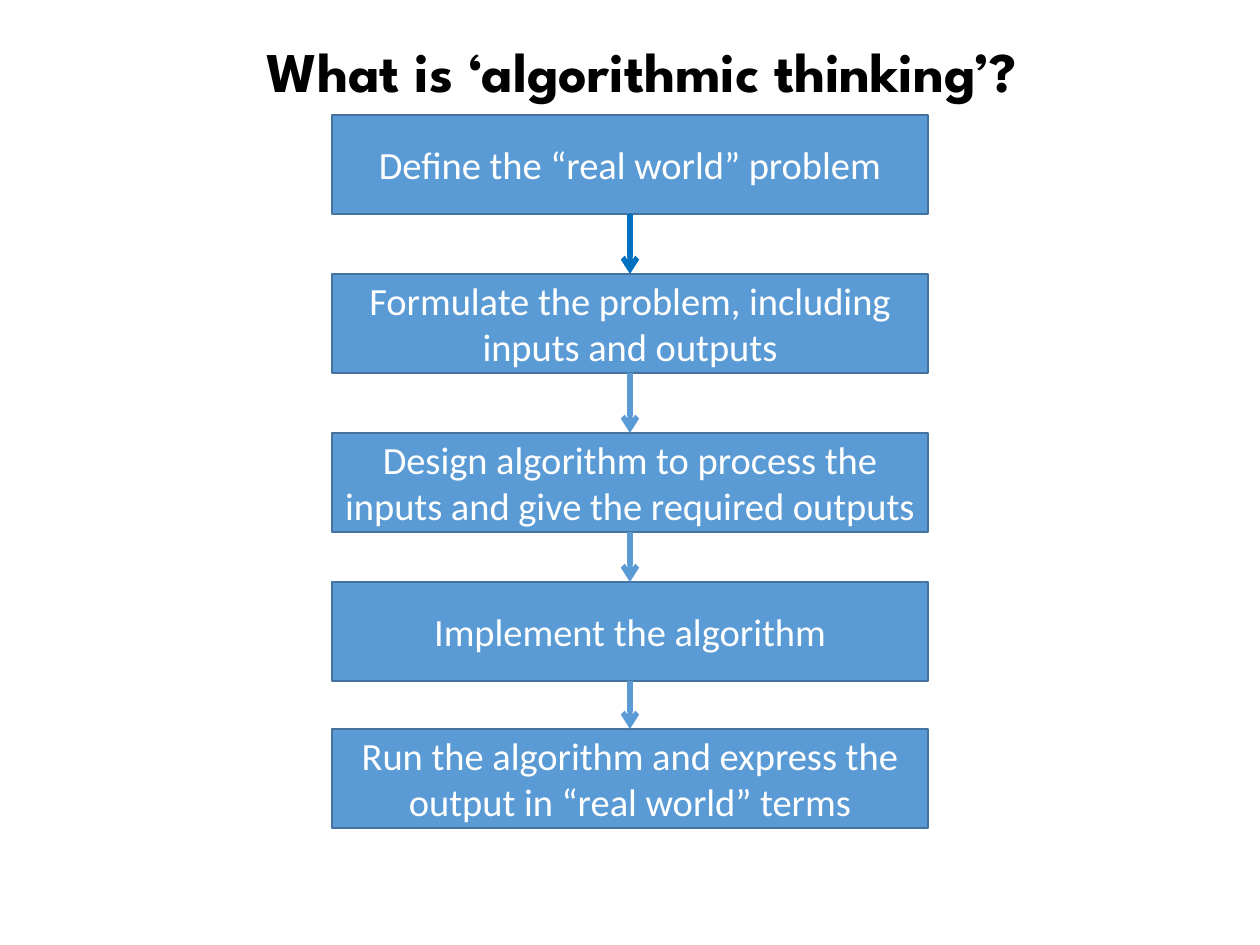
from lxml.etree import SubElement
from pptx import Presentation
from pptx.dml.color import RGBColor
from pptx.enum.shapes import MSO_CONNECTOR, MSO_SHAPE
from pptx.enum.text import MSO_ANCHOR, PP_ALIGN
from pptx.oxml.ns import qn
from pptx.util import Emu, Pt

BLACK = RGBColor(0x00, 0x00, 0x00)
WHITE = RGBColor(0xFF, 0xFF, 0xFF)
BLUE = RGBColor(0x5B, 0x9B, 0xD5)
EDGE = RGBColor(0x43, 0x73, 0x9E)
DEEP = RGBColor(0x00, 0x70, 0xC0)

LEFT, WIDTH, HEIGHT = 332, 596, 99
STEPS = [
    (115, "Define the “real world” problem"),
    (274, "Formulate the problem, including inputs and outputs"),
    (433, "Design algorithm to process the inputs and give the required outputs"),
    (582, "Implement the algorithm"),
    (729, "Run the algorithm and express the output in “real world” terms"),
]


def px(num):
    """Turn pixels into EMU at 126 to the inch."""
    return Emu(round(num * 914400 / 126))


def write(shape, text, size, name, color, bold=False):
    """Put one centred paragraph in a shape."""
    frame = shape.text_frame
    frame.word_wrap = True
    frame.vertical_anchor = MSO_ANCHOR.MIDDLE
    frame.text = text
    para = frame.paragraphs[0]
    para.alignment = PP_ALIGN.CENTER
    font = para.runs[0].font
    font.size, font.name, font.bold = Pt(size), name, bold
    font.color.rgb = color
    return para


def add_title(slide, text):
    """Add the slide heading."""
    box = slide.shapes.add_textbox(px(168), px(26), px(948), px(97))
    write(box, text, 32, "League Spartan", BLACK, True).line_spacing = 0.9


def add_step(slide, top, text):
    """Add one process box of the flow chart."""
    box = slide.shapes.add_shape(
        MSO_SHAPE.FLOWCHART_PROCESS, px(LEFT), px(top), px(WIDTH), px(HEIGHT))
    box.shadow.inherit = False
    box.fill.solid()
    box.fill.fore_color.rgb = BLUE
    box.line.color.rgb = EDGE
    box.line.width = Pt(1)
    write(box, text, 22, "Calibri", WHITE)
    return box


def add_arrow(slide, start, end, color):
    """Join the bottom of one box to the top of the next."""
    arrow = slide.shapes.add_connector(MSO_CONNECTOR.STRAIGHT, 0, 0, 0, 0)
    arrow.begin_connect(start, 2)
    arrow.end_connect(end, 0)
    arrow.line.color.rgb = color
    arrow.line.width = Pt(3)
    SubElement(arrow.line._get_or_add_ln(), qn("a:tailEnd"), type="arrow")
    SubElement(arrow._element.spPr, qn("a:effectLst"))


def main():
    """Build and save the slide."""
    deck = Presentation()
    deck.slide_width, deck.slide_height = px(1260), px(945)
    slide = deck.slides.add_slide(deck.slide_layouts[6])
    add_title(slide, "What is ‘algorithmic thinking’?")
    boxes = [add_step(slide, top, text) for top, text in STEPS]
    for num, (start, end) in enumerate(zip(boxes, boxes[1:])):
        add_arrow(slide, start, end, BLUE if num else DEEP)
    deck.save("out.pptx")


if __name__ == "__main__":
    main()
